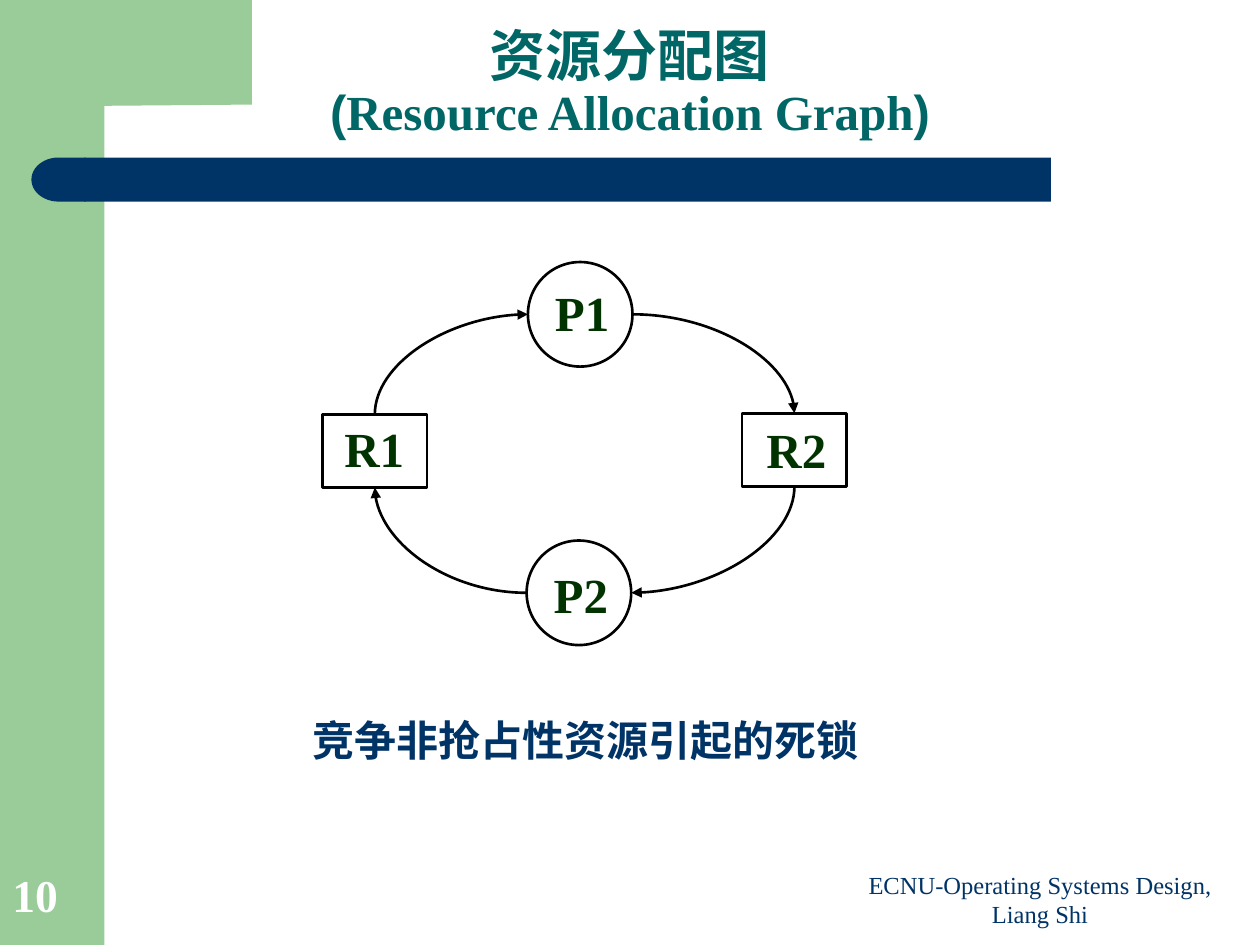
from lxml import etree
from pptx import Presentation
from pptx.dml.color import RGBColor
from pptx.enum.shapes import MSO_CONNECTOR, MSO_SHAPE
from pptx.enum.text import MSO_ANCHOR, MSO_AUTO_SIZE, PP_ALIGN
from pptx.oxml.ns import qn
from pptx.util import Inches, Pt

RECTANGLE, ROUNDED = MSO_SHAPE.RECTANGLE, MSO_SHAPE.ROUNDED_RECTANGLE
ELLIPSE, DELAY = MSO_SHAPE.OVAL, MSO_SHAPE.FLOWCHART_DELAY
CURVE = MSO_CONNECTOR.CURVE
TOP, BOTTOM = MSO_ANCHOR.TOP, MSO_ANCHOR.BOTTOM
LEFT, CENTER = PP_ALIGN.LEFT, PP_ALIGN.CENTER
FIXED, GROW = MSO_AUTO_SIZE.NONE, MSO_AUTO_SIZE.SHAPE_TO_FIT_TEXT

SERIF, SANS = "Times New Roman", "Arial"
GREEN, NAVY, TEAL = "99CC99", "003366", "006666"
LABEL, BLACK, WHITE = "003300", "000000", "FFFFFF"
TITLE_ONLY = 5


def color(hex_string):
    return RGBColor.from_string(hex_string)


def grid(*cells):
    """Lengths on a grid of 100 columns by 75 rows."""
    return [Inches(cell / 10) for cell in cells]


class SlideBuilder:
    def __init__(self, deck):
        self.slide = deck.slides.add_slide(deck.slide_layouts[TITLE_ONLY])
        self.shapes = self.slide.shapes

    def paint(self, shape, fill=None, line=None):
        shape.shadow.inherit = False
        if fill:
            shape.fill.solid()
            shape.fill.fore_color.rgb = color(fill)
        else:
            shape.fill.background()
        if line:
            shape.line.color.rgb = color(line)
            shape.line.width = Pt(1.5)
        else:
            shape.line.fill.background()
        return shape

    def shape(self, kind, at, fill=None, line=None):
        return self.paint(self.shapes.add_shape(kind, *grid(*at)), fill, line)

    def outline(self, points, fill):
        start, *rest = [grid(*point) for point in points]
        builder = self.shapes.build_freeform(*start)
        builder.add_line_segments(rest)
        return self.paint(builder.convert_to_shape(), fill)

    def font(self, font, size, hex_string, bold, name=None):
        font.size, font.bold = Pt(size), bold
        font.color.rgb = color(hex_string)
        if name:
            font.name = name

    def text(self, words, at, size, hex_string, name=SERIF, bold=True,
             align=CENTER, anchor=TOP, fit=GROW):
        box = self.shapes.add_textbox(*grid(*at))
        frame = box.text_frame
        frame.word_wrap, frame.auto_size = True, fit
        frame.vertical_anchor = anchor
        para = frame.paragraphs[0]
        para.text, para.alignment = words, align
        self.font(para.font, size, hex_string, bold, name)

    def title(self, lines, at):
        box = self.shapes.title
        box.left, box.top, box.width, box.height = grid(*at)
        frame = box.text_frame
        frame.auto_size, frame.vertical_anchor = FIXED, BOTTOM
        para = frame.paragraphs[0]
        para.alignment, para.line_spacing = CENTER, 0.9
        for number, (size, spans) in enumerate(lines):
            if number:
                para.add_line_break()
            for words, name in spans:
                span = para.add_run()
                span.text = words
                self.font(span.font, size, TEAL, True, name)

    def curve(self, start, end, upright):
        """Quarter curve with an arrowhead; upright ones leave vertically."""
        (x1, y1), (x2, y2) = start, end
        if upright:
            # Turn the ends back about the middle, then rotate the connector.
            mid_x, mid_y = (x1 + x2) / 2, (y1 + y2) / 2
            half_w, half_h = (y2 - y1) / 2, (x1 - x2) / 2
            x1, y1 = mid_x - half_w, mid_y - half_h
            x2, y2 = mid_x + half_w, mid_y + half_h
        arrow = self.shapes.add_connector(CURVE, *grid(x1, y1, x2, y2))
        arrow.line.color.rgb = color(BLACK)
        arrow.line.width = Pt(1.5)
        properties = arrow._element.spPr
        properties.find(qn("a:prstGeom")).set("prst", "curvedConnector2")
        if upright:
            properties.find(qn("a:xfrm")).set("rot", str(90 * 60000))
        line = properties.find(qn("a:ln"))
        etree.SubElement(line, qn("a:tailEnd"), type="triangle")
        etree.SubElement(properties, qn("a:effectLst"))


def sides(at):
    """Middles of a node's four sides."""
    left, top, width, height = at
    x, y = left + width / 2, top + height / 2
    return {"top": (x, top), "left": (left, y),
            "bottom": (x, top + height), "right": (left + width, y)}


def main():
    deck = Presentation()
    deck.slide_width, deck.slide_height = grid(100, 75)
    page = SlideBuilder(deck)

    # Side band, corner block and title bar
    page.shape(RECTANGLE, (0, 0, 8.3, 75), GREEN)
    page.outline([(20, 0), (20, 8.3), (8.3, 8.4), (7.7, 8.5), (7.1, 9.2),
                  (6.8, 10.4), (6.7, 11.6), (6.7, 12.8), (5, 12.8), (5, 0)],
                 GREEN)
    bar = page.shape(ROUNDED, (6.7, 12.5, 76.7, 3.5), NAVY)
    bar.adjustments[0] = 0
    cap = page.shape(DELAY, (2.5, 12.5, 4.3, 3.5), NAVY)
    cap._element.spPr.find(qn("a:xfrm")).set("flipH", "1")

    # Title
    page.title([(32, [("资源分配图", SANS)]),
                (28, [("(", SANS), ("Resource Allocation Graph", SERIF),
                      (")", SANS)])],
               (0.8, 0.8, 98.4, 10.9))

    # Processes are circles, resources are boxes
    circle, block = (8.3, 8.3), (8.3, 5.8)
    nodes = {
        "P1": (ELLIPSE, (41.9, 20.8, *circle), (42.3, 21.9)),
        "P2": (ELLIPSE, (41.8, 42.9, *circle), (42.2, 44.3)),
        "R2": (RECTANGLE, (58.9, 32.8, *block), (59.3, 32.8)),
        "R1": (RECTANGLE, (25.6, 32.9, *block), (25.8, 32.7)),
    }
    for kind, at, _ in nodes.values():
        page.shape(kind, at, line=BLACK)

    # Cycle of requests and allocations
    for source, leave, target, arrive in (("P1", "right", "R2", "top"),
                                          ("R2", "bottom", "P2", "right"),
                                          ("P2", "left", "R1", "bottom"),
                                          ("R1", "top", "P1", "left")):
        page.curve(sides(nodes[source][1])[leave],
                   sides(nodes[target][1])[arrive],
                   upright=leave in ("top", "bottom"))

    # Node names and caption
    for name, (_, _, corner) in nodes.items():
        page.text(name, (*corner, 7.8, 5.7), 28, LABEL)
    page.text("竞争非抢占性资源引起的死锁", (22.1, 56.2, 48.8, 5), 24, NAVY, SANS)

    # Footer and page number
    page.text("ECNU-Operating Systems Design, Liang Shi",
              (66.7, 69, 31.7, 5.2), 14, NAVY, bold=False,
              anchor=BOTTOM, fit=FIXED)
    page.text("10", (0, 68.3, 8.2, 5.3), 26, WHITE, align=LEFT,
              anchor=BOTTOM, fit=FIXED)

    deck.save("out.pptx")


if __name__ == "__main__":
    main()
